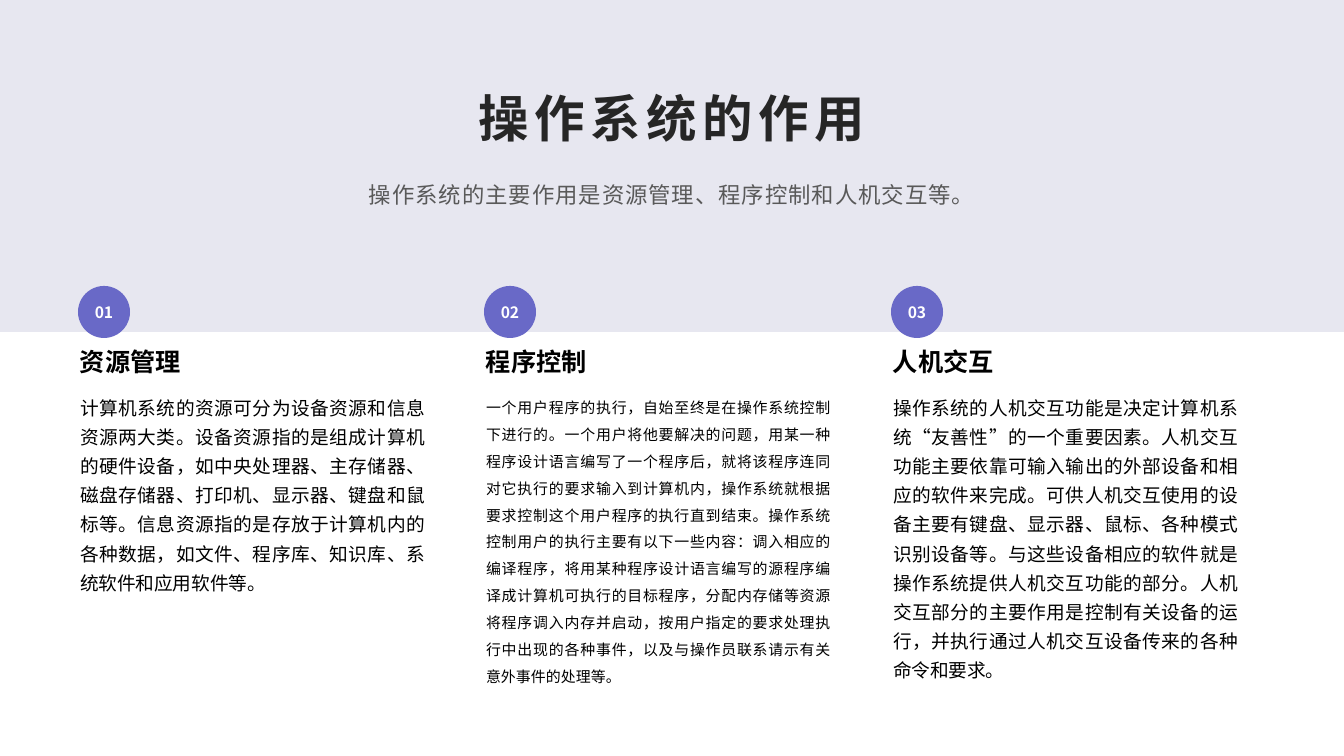
from lxml.etree import SubElement
from pptx import Presentation
from pptx.dml.color import RGBColor as Rgb
from pptx.enum.shapes import MSO_SHAPE as Kind
from pptx.enum.text import MSO_ANCHOR as Anchor, PP_ALIGN as Align
from pptx.oxml.ns import qn
from pptx.util import Pt

PX = 9144000 / 1344
FONT = "Noto Sans CJK SC"
HUES = {
    "band": "E7E7F0", "badge": "6969C7", "title": "262626",
    "lead": "595959", "text": "000000", "white": "FFFFFF",
}
WIDE, HIGH = 1344, 756
LEFT, TOP = 67, 286

# heading, body text, body size, line spacing
ROLES = [
    ("资源管理",
     "计算机系统的资源可分为设备资源和信息资源两大类。设备资源指的是组成计算机的硬件设备，"
     "如中央处理器、主存储器、磁盘存储器、打印机、显示器、键盘和鼠标等。"
     "信息资源指的是存放于计算机内的各种数据，如文件、程序库、知识库、系统软件和应用软件等。",
     10, 1.3),
    ("程序控制",
     "一个用户程序的执行，自始至终是在操作系统控制下进行的。一个用户将他要解决的问题，"
     "用某一种程序设计语言编写了一个程序后，就将该程序连同对它执行的要求输入到计算机内，"
     "操作系统就根据要求控制这个用户程序的执行直到结束。"
     "操作系统控制用户的执行主要有以下一些内容：调入相应的编译程序，"
     "将用某种程序设计语言编写的源程序编译成计算机可执行的目标程序，"
     "分配内存储等资源将程序调入内存并启动，按用户指定的要求处理执行中出现的各种事件，"
     "以及与操作员联系请示有关意外事件的处理等。",
     8, 1.5),
    ("人机交互",
     "操作系统的人机交互功能是决定计算机系统“友善性”的一个重要因素。"
     "人机交互功能主要依靠可输入输出的外部设备和相应的软件来完成。"
     "可供人机交互使用的设备主要有键盘、显示器、鼠标、各种模式识别设备等。"
     "与这些设备相应的软件就是操作系统提供人机交互功能的部分。"
     "人机交互部分的主要作用是控制有关设备的运行，并执行通过人机交互设备传来的各种命令和要求。",
     10, 1.3),
]


def emu(*nums):
    return [round(n * PX) for n in nums]


def add_shape(slide, kind, box, hue):
    shape = slide.shapes.add_shape(kind, *emu(*box))
    shape.shadow.inherit = False
    shape.fill.solid()
    shape.fill.fore_color.rgb = Rgb.from_string(HUES[hue])
    shape.line.fill.background()


def add_text(slide, text, box, size, hue="text", bold=False, align=Align.LEFT,
             anchor=Anchor.TOP, pad=(13, 7), lines=None, after=0, track=0):
    """Pad is (side, top) in px; track is letter spacing in points."""
    frame = slide.shapes.add_textbox(*emu(*box)).text_frame
    frame.word_wrap = True
    frame.vertical_anchor = anchor
    side, top = emu(*pad)
    frame.margin_left = frame.margin_right = side
    frame.margin_top = frame.margin_bottom = top
    para = frame.paragraphs[0]
    para.alignment = align
    para.space_after = Pt(after)
    if lines:
        para.line_spacing = lines
    run = para.add_run()
    run.text = text
    font = run.font
    font.size, font.bold, font.name = Pt(size), bold, FONT
    font.color.rgb = Rgb.from_string(HUES[hue])
    props = run._r.get_or_add_rPr()
    props.set("lang", "zh-CN")
    if track:
        props.set("spc", str(round(track * 100)))
    SubElement(props, qn("a:ea"), typeface=FONT)


def add_header(slide, x, y, w, h):
    add_shape(slide, Kind.RECTANGLE, (x, y, w, h), "band")
    inner = w - 2 * LEFT
    add_text(slide, "操作系统的作用", (x + LEFT, y + 83, inner, 69), 27, "title",
             bold=True, align=Align.CENTER, pad=(8, 4), after=8, track=3)
    add_text(slide, "操作系统的主要作用是资源管理、程序控制和人机交互等。",
             (x + LEFT, y + 169, inner, 43), 12, "lead", align=Align.CENTER,
             anchor=Anchor.MIDDLE, pad=(12, 4), lines=1.3, after=8, track=0.5)


def add_role(slide, x, y, w, h, num, role):
    head, body, size, lines = role
    add_shape(slide, Kind.OVAL, (x + 11, y, 52, 52), "badge")
    add_text(slide, f"{num:02}", (x + 11, y + 9, 52, 34), 8.4, "white",
             bold=True, align=Align.CENTER, anchor=Anchor.MIDDLE)
    add_text(slide, head, (x, y + 53, w + 25, 47), 13.5, bold=True)
    add_text(slide, body, (x, y + 97, w, h - 97), size,
             align=Align.JUSTIFY, lines=lines)


def main():
    deck = Presentation()
    deck.slide_width, deck.slide_height = emu(WIDE, HIGH)
    slide = deck.slides.add_slide(deck.slide_layouts[6])
    add_header(slide, 0, 0, WIDE, 332)
    for i, role in enumerate(ROLES):
        add_role(slide, LEFT + i * 813 // 2, TOP, 371, 403, i + 1, role)
    deck.save("out.pptx")


if __name__ == "__main__":
    main()
